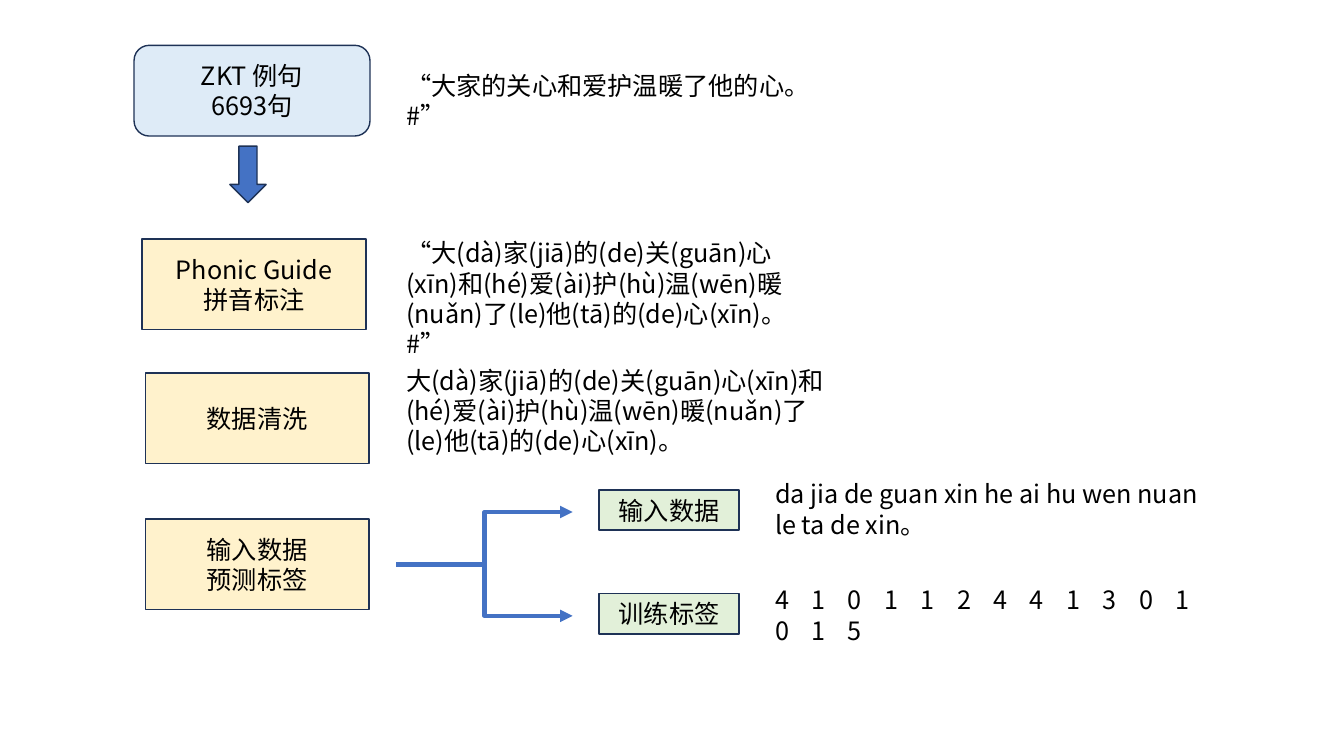
from dataclasses import dataclass
from lxml import etree
from pptx import Presentation
from pptx.dml.color import RGBColor
from pptx.enum.shapes import MSO_CONNECTOR, MSO_SHAPE
from pptx.enum.text import MSO_ANCHOR, MSO_AUTO_SIZE, PP_ALIGN
from pptx.oxml.ns import qn
from pptx.util import Inches, Pt

ROUND, RECT, DOWN = MSO_SHAPE.ROUNDED_RECTANGLE, MSO_SHAPE.RECTANGLE, MSO_SHAPE.DOWN_ARROW
ELBOW = MSO_CONNECTOR.ELBOW
LEFT, CENTER = PP_ALIGN.LEFT, PP_ALIGN.CENTER
TOP, MIDDLE = MSO_ANCHOR.TOP, MSO_ANCHOR.MIDDLE
GROW = MSO_AUTO_SIZE.SHAPE_TO_FIT_TEXT


@dataclass(frozen=True)
class Theme:
    font: str = "Noto Sans CJK SC"
    size: int = 18
    text: str = "000000"
    edge: str = "1E3256"
    blue: str = "4472C4"
    pale: str = "DEEBF7"
    cream: str = "FFF2CC"
    green: str = "E2F0D9"
    thin: int = 1
    thick: int = 3


THEME = Theme()

STEPS = [
    (ROUND, 1.33, 0.45, 2.34, THEME.pale, ["ZKT 例句", "6693句"]),
    (RECT, 1.41, 2.37, 2.22, THEME.cream, ["Phonic Guide", "拼音标注"]),
    (RECT, 1.44, 3.7, 2.22, THEME.cream, ["数据清洗"]),
    (RECT, 1.44, 5.15, 2.22, THEME.cream, ["输入数据", "预测标签"]),
]
NOTES = [
    (0.65, 4.44, 0.4, "“大家的关心和爱护温暖了他的心。#”"),
    (2.31, 4.03, 1.01, "“大(dà)家(jiā)的(de)关(guān)心(xīn)和(hé)爱(ài)护(hù)温(wēn)暖(nuǎn)了(le)他(tā)的(de)心(xīn)。#”"),
    (3.57, 4.44, 1.01, "大(dà)家(jiā)的(de)关(guān)心(xīn)和(hé)爱(ài)护(hù)温(wēn)暖(nuǎn)了(le)他(tā)的(de)心(xīn)。"),
]
SPLITS = [
    (4.86, 5.08, "输入数据", 4.7, "da jia de guan xin he ai hu wen nuan le ta de xin。", 0),
    (5.89, 6.11, "训练标签", 5.75, "4 1 0 1 1 2 4 4 1 3 0 1 0 1 5", 6),
]
STEP_H = 0.9
NOTE_X = 3.93
FORK_Y = STEPS[-1][2] + STEP_H / 2
FORK_END = 5.68
TAG_X, TAG_W, TAG_H = 5.94, 1.39, 0.4
DATA_X, DATA_W, DATA_H = 7.59, 4.44, 0.71


def color(code):
    return RGBColor.from_string(code)


def write(frame, lines, align=LEFT, anchor=TOP, gap=0):
    frame.word_wrap = True
    frame.vertical_anchor = anchor
    for n, line in enumerate(lines):
        para = frame.paragraphs[0] if n == 0 else frame.add_paragraph()
        para.alignment = align
        run = para.add_run()
        run.text = line
        run.font.size = Pt(THEME.size)
        run.font.color.rgb = color(THEME.text)
        run.font.name = THEME.font
        props = run._r.get_or_add_rPr()
        etree.SubElement(props, qn("a:ea")).set("typeface", THEME.font)
        if gap:
            props.set("spc", str(gap * 100))


def block(slide, kind, x, y, w, h, fill, lines=()):
    shape = slide.shapes.add_shape(kind, *map(Inches, (x, y, w, h)))
    shape.shadow.inherit = False
    shape.fill.solid()
    shape.fill.fore_color.rgb = color(fill)
    shape.line.color.rgb = color(THEME.edge)
    shape.line.width = Pt(THEME.thin)
    write(shape.text_frame, lines, align=CENTER, anchor=MIDDLE)


def note(slide, x, y, w, h, text, gap=0):
    box = slide.shapes.add_textbox(*map(Inches, (x, y, w, h)))
    box.text_frame.auto_size = GROW
    write(box.text_frame, [text], gap=gap)


def branch(slide, y):
    link = slide.shapes.add_connector(ELBOW, *map(Inches, (NOTE_X, FORK_Y, FORK_END, y)))
    link.line.color.rgb = color(THEME.blue)
    link.line.width = Pt(THEME.thick)
    etree.SubElement(link.line._get_or_add_ln(), qn("a:tailEnd")).set("type", "triangle")
    etree.SubElement(link._element.spPr, qn("a:effectLst"))


def main():
    deck = Presentation()
    deck.slide_width, deck.slide_height = Inches(13.33), Inches(7.5)
    slide = deck.slides.add_slide(deck.slide_layouts[6])
    for kind, x, y, w, fill, lines in STEPS:
        block(slide, kind, x, y, w, STEP_H, fill, lines)
    block(slide, DOWN, 2.28, 1.45, 0.36, 0.56, THEME.blue)
    for y, w, h, text in NOTES:
        note(slide, NOTE_X, y, w, h, text)
    for tag_y, end_y, tag, data_y, data, gap in SPLITS:
        branch(slide, end_y)
        block(slide, RECT, TAG_X, tag_y, TAG_W, TAG_H, THEME.green, [tag])
        note(slide, DATA_X, data_y, DATA_W, DATA_H, data, gap=gap)
    deck.save("out.pptx")


if __name__ == "__main__":
    main()
